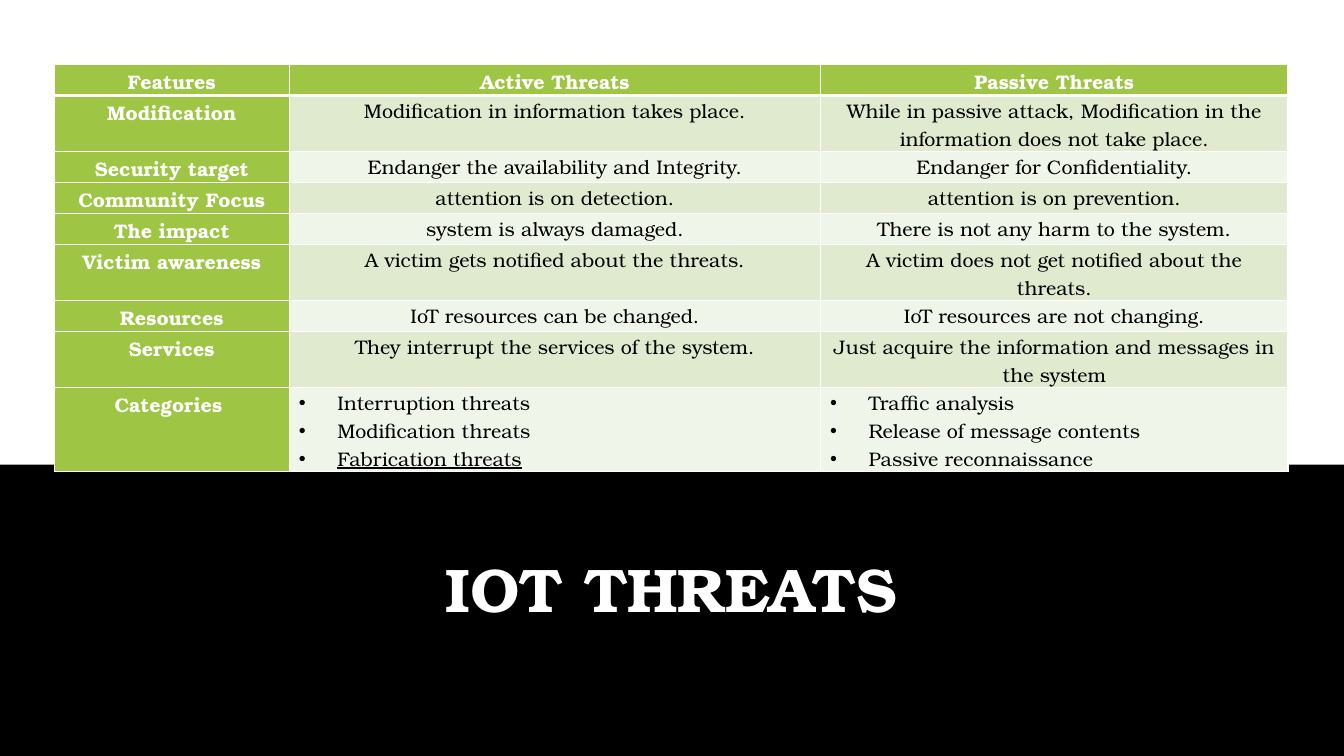
from lxml import etree
from pptx import Presentation
from pptx.dml.color import RGBColor
from pptx.enum import shapes, text
from pptx.oxml import ns
from pptx.util import Cm, Pt

FONT = "TeX Gyre Bonum"
BLACK = RGBColor(0x00, 0x00, 0x00)
WHITE = RGBColor(0xFF, 0xFF, 0xFF)
GREEN = RGBColor(0x9E, 0xC5, 0x44)
BANDS = [RGBColor(0xF0, 0xF5, 0xE9), RGBColor(0xDF, 0xEA, 0xCF)]

HEADER = ["Features", "Active Threats", "Passive Threats"]
ROWS = [
    ["Modification", "Modification in information takes place.",
     "While in passive attack, Modification in the information does not take place."],
    ["Security target", "Endanger the availability and Integrity.",
     "Endanger for Confidentiality."],
    ["Community Focus", "attention is on detection.", "attention is on prevention."],
    ["The impact", "system is always damaged.", "There is not any harm to the system."],
    ["Victim awareness", "A victim gets notified about the threats.",
     "A victim does not get notified about the threats."],
    ["Resources", "IoT resources can be changed.", "IoT resources are not changing."],
    ["Services", "They interrupt the services of the system.",
     "Just acquire the information and messages in the system"],
    ["Categories ",
     ["Interruption threats", "Modification threats", "Fabrication threats"],
     ["Traffic analysis", "Release of message contents", "Passive reconnaissance"]],
]
UNDERLINED = "Fabrication threats"
COLUMN_WIDTHS = [5.92, 13.39, 11.78]
LINES_PER_ROW = [1, 2, 1, 1, 1, 2, 1, 2, 3]
HEIGHT_BY_LINES = {1: 0.78, 2: 1.41, 3: 2.12}
ROW_HEIGHTS = [HEIGHT_BY_LINES[lines] for lines in LINES_PER_ROW]


def write(frame, content, *, size=14, color=BLACK, bold=False, spacing=1.07):
    """Fill a text frame: a string is one centred paragraph, a list is bulleted."""
    frame.word_wrap = True
    bulleted = isinstance(content, list)
    for index, line in enumerate(content if bulleted else [content]):
        paragraph = frame.add_paragraph() if index else frame.paragraphs[0]
        paragraph.alignment = text.PP_ALIGN.LEFT if bulleted else text.PP_ALIGN.CENTER
        paragraph.line_spacing = spacing
        if bulleted:
            properties = paragraph._p.get_or_add_pPr()
            properties.set("marL", str(Cm(0.97)))
            properties.set("indent", str(-Cm(0.97)))
            etree.SubElement(properties, ns.qn("a:buFont"), typeface="Arial")
            etree.SubElement(properties, ns.qn("a:buChar"), char="•")
        run = paragraph.add_run()
        run.text = line
        run.font.name = FONT
        run.font.size = Pt(size)
        run.font.bold = bold
        run.font.color.rgb = color
        if line == UNDERLINED:
            run.font.underline = True


def add_borders(cell, widths):
    """Draw white left, right, top and bottom borders of the given point widths."""
    properties = cell._tc.get_or_add_tcPr()
    for index, (side, width) in enumerate(zip("LRTB", widths)):
        border = etree.Element(ns.qn(f"a:ln{side}"), w=str(Pt(width)))
        fill = etree.SubElement(border, ns.qn("a:solidFill"))
        etree.SubElement(fill, ns.qn("a:srgbClr"), val=str(WHITE))
        properties.insert(index, border)


presentation = Presentation()
presentation.slide_width = Cm(33.87)
presentation.slide_height = Cm(19.05)
slide = presentation.slides.add_slide(presentation.slide_layouts[6])
slide.background.fill.solid()
slide.background.fill.fore_color.rgb = BLACK

title = slide.shapes.add_textbox(Cm(2.21), Cm(12.65), Cm(29.44), Cm(3.25))
title.text_frame.vertical_anchor = text.MSO_ANCHOR.BOTTOM
write(title.text_frame, "IOT THREATS", size=44, color=WHITE, bold=True, spacing=0.9)

panel = slide.shapes.add_shape(
    shapes.MSO_SHAPE.RECTANGLE, 0, 0, presentation.slide_width, Cm(11.71))
panel.shadow.inherit = False
panel.fill.solid()
panel.fill.fore_color.rgb = WHITE
panel.line.fill.background()

table = slide.shapes.add_table(
    len(ROW_HEIGHTS), len(COLUMN_WIDTHS), Cm(1.37), Cm(1.63),
    Cm(sum(COLUMN_WIDTHS)), Cm(sum(ROW_HEIGHTS))).table
for column, width in zip(table.columns, COLUMN_WIDTHS):
    column.width = Cm(width)
for row, height in zip(table.rows, ROW_HEIGHTS):
    row.height = Cm(height)

for row_index, row_content in enumerate([HEADER] + ROWS):
    for column_index, content in enumerate(row_content):
        cell = table.cell(row_index, column_index)
        is_heading = row_index == 0 or column_index == 0
        cell.margin_left = cell.margin_right = Cm(0.24)
        cell.margin_top = cell.margin_bottom = 0
        cell.fill.solid()
        cell.fill.fore_color.rgb = GREEN if is_heading else BANDS[row_index % 2]
        add_borders(cell, [1, 1, 3 if row_index == 1 else 1, 3 if row_index == 0 else 1])
        write(cell.text_frame, content, color=WHITE if is_heading else BLACK, bold=is_heading)

presentation.save("out.pptx")
